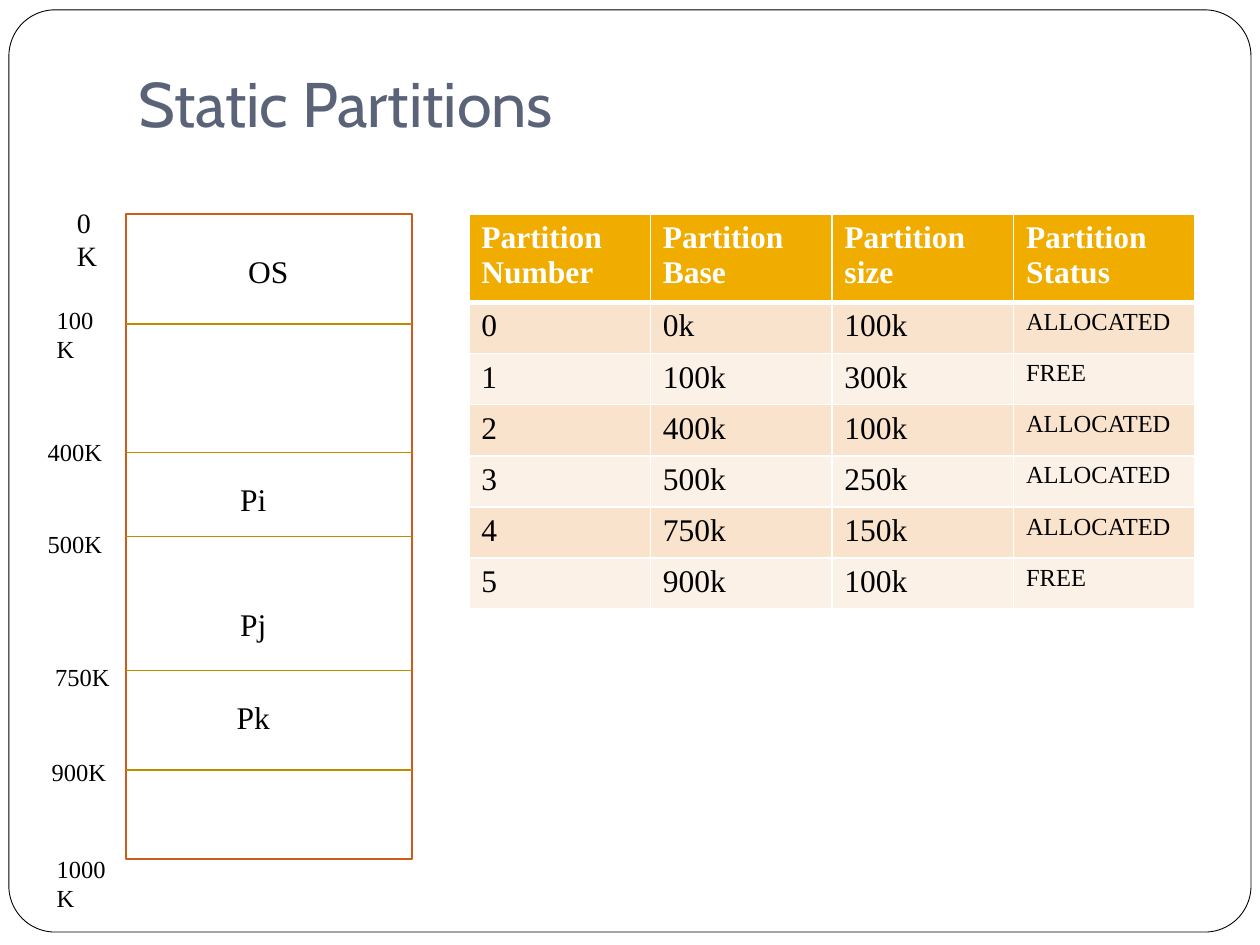
from dataclasses import dataclass

import pptx
import pptx.dml.color
import pptx.enum.shapes
import pptx.enum.text
import pptx.oxml.ns
import pptx.util
from lxml import etree

Cm = pptx.util.Cm
Pt = pptx.util.Pt
Shapes = pptx.enum.shapes.MSO_SHAPE
Align = pptx.enum.text.PP_ALIGN
Anchor = pptx.enum.text.MSO_ANCHOR
AutoSize = pptx.enum.text.MSO_AUTO_SIZE


@dataclass(frozen=True)
class Theme:
    title_font: str = "Cabin"
    body_font: str = "Times New Roman"
    title_size: int = 36
    body_size: int = 18
    origin_size: int = 16
    small_size: int = 14
    black: str = "000000"
    white: str = "FFFFFF"
    title: str = "5A6378"
    header: str = "F0AD00"
    bands: tuple = ("F9E3CC", "FCF1E7")
    memory_line: str = "CF5B1B"
    boundary_line: str = "C08B00"


THEME = Theme()

MEMORY_LEFT, MEMORY_TOP, MEMORY_WIDTH, MEMORY_HEIGHT = 2.54, 4.32, 5.77, 13.0
BOUNDARIES = (6.53, 9.12, 10.82, 13.51, 15.52)

# text, left, top, width
ADDRESSES = (
    ("100K", 0.89, 6.02, 1.57),
    ("400K", 0.71, 8.69, 1.75),
    ("500K", 0.71, 10.54, 1.75),
    ("750K", 0.86, 13.23, 1.75),
    ("900K", 0.79, 15.14, 1.75),
    ("1000K", 0.89, 17.09, 1.75),
)
# text, top, width
OCCUPANTS = (
    ("OS", 4.95, 3.4),
    ("Pi", 9.55, 2.79),
    ("Pj", 12.07, 2.79),
    ("Pk", 13.94, 2.79),
)
PARTITIONS = (
    ("Partition Number", "Partition Base", "Partition size", "Partition Status"),
    ("0", "0k", "100k", "ALLOCATED"),
    ("1", "100k", "300k", "FREE"),
    ("2", "400k", "100k", "ALLOCATED"),
    ("3", "500k", "250k", "ALLOCATED"),
    ("4", "750k", "150k", "ALLOCATED"),
    ("5", "900k", "100k", "FREE"),
)


def rgb(value):
    return pptx.dml.color.RGBColor.from_string(value)


def format_text(text_frame, size, color=THEME.black, font=THEME.body_font, bold=False):
    for paragraph in text_frame.paragraphs:
        for run in paragraph.runs:
            run.font.name = font
            run.font.size = Pt(size)
            run.font.bold = bold
            run.font.color.rgb = rgb(color)


def add_outlined_shape(slide, kind, left, top, width, height, line, weight):
    shape = slide.shapes.add_shape(kind, Cm(left), Cm(top), Cm(width), Cm(height))
    shape.shadow.inherit = False
    shape.fill.solid()
    shape.fill.fore_color.rgb = rgb(THEME.white)
    shape.line.color.rgb = rgb(line)
    shape.line.width = Pt(weight)
    return shape


def add_title(slide, text):
    box = slide.shapes.add_textbox(Cm(2.54), Cm(0.76), Cm(21.59), Cm(2.31))
    text_frame = box.text_frame
    text_frame.word_wrap = True
    text_frame.vertical_anchor = Anchor.BOTTOM
    text_frame.margin_bottom = Cm(0.25)
    text_frame.text = text
    format_text(text_frame, THEME.title_size, THEME.title, THEME.title_font)


def add_label(slide, text, left, top, width, height, size, align=Align.LEFT):
    box = slide.shapes.add_textbox(Cm(left), Cm(top), Cm(width), Cm(height))
    text_frame = box.text_frame
    text_frame.word_wrap = True
    text_frame.auto_size = AutoSize.SHAPE_TO_FIT_TEXT
    text_frame.text = text
    text_frame.paragraphs[0].alignment = align
    format_text(text_frame, size)


def add_boundary(slide, memory, top):
    """Draw a line across the memory block, joined to it at mid-height."""
    line = slide.shapes.add_connector(
        pptx.enum.shapes.MSO_CONNECTOR.STRAIGHT,
        Cm(MEMORY_LEFT), Cm(top), Cm(MEMORY_LEFT + MEMORY_WIDTH), Cm(top))
    line.line.color.rgb = rgb(THEME.boundary_line)
    line.line.width = Pt(0.75)
    etree.SubElement(line._element.spPr, pptx.oxml.ns.qn("a:effectLst"))
    if abs(top - MEMORY_TOP - MEMORY_HEIGHT / 2) < 0.01:
        line.begin_connect(memory, 1)
        line.end_connect(memory, 3)


def add_memory_map(slide):
    memory = add_outlined_shape(
        slide, Shapes.RECTANGLE, MEMORY_LEFT, MEMORY_TOP, MEMORY_WIDTH,
        MEMORY_HEIGHT, THEME.memory_line, 1)
    for top in BOUNDARIES:
        add_boundary(slide, memory, top)
    add_label(slide, "0K", 1.3, 4.01, 1.17, 0.94, THEME.origin_size)
    for text, left, top, width in ADDRESSES:
        add_label(slide, text, left, top, width, 0.86, THEME.small_size)
    for text, top, width in OCCUPANTS:
        add_label(slide, text, 3.71, top, width, 1.02, THEME.body_size, Align.CENTER)


def set_borders(cell, **weights):
    """Give the cell white borders, with weights in points by side: L, R, T, B."""
    qn = pptx.oxml.ns.qn
    properties = cell._tc.get_or_add_tcPr()
    for side, weight in weights.items():
        border = etree.SubElement(properties, qn(f"a:ln{side}"), w=str(Pt(weight)))
        fill = etree.SubElement(border, qn("a:solidFill"))
        etree.SubElement(fill, qn("a:srgbClr"), val=THEME.white)


def add_partition_table(slide):
    row_count, column_count = len(PARTITIONS), len(PARTITIONS[0])
    column_width, header_height, row_height = 3.66, 1.65, 1.03
    table = slide.shapes.add_table(
        row_count, column_count, Cm(9.45), Cm(MEMORY_TOP),
        Cm(column_width * column_count),
        Cm(header_height + row_height * (row_count - 1))).table
    table.horz_banding = False
    for column in table.columns:
        column.width = Cm(column_width)
    for row_index, values in enumerate(PARTITIONS):
        is_header = row_index == 0
        table.rows[row_index].height = Cm(header_height if is_header else row_height)
        for column_index, value in enumerate(values):
            cell = table.cell(row_index, column_index)
            set_borders(cell, L=1, R=1, T=3 if row_index == 1 else 1,
                        B=3 if is_header else 1)
            cell.fill.solid()
            cell.fill.fore_color.rgb = rgb(
                THEME.header if is_header else THEME.bands[(row_index - 1) % 2])
            cell.text_frame.text = value
            is_status = not is_header and column_index == column_count - 1
            format_text(cell.text_frame,
                        THEME.small_size if is_status else THEME.body_size,
                        THEME.white if is_header else THEME.black, bold=is_header)


def main():
    presentation = pptx.Presentation()
    presentation.slide_width = Cm(25.4)
    presentation.slide_height = Cm(19.05)
    slide = presentation.slides.add_slide(presentation.slide_layouts[6])
    frame = add_outlined_shape(slide, Shapes.ROUNDED_RECTANGLE, 0.18, 0.2,
                               25.04, 18.59, THEME.black, 0.5)
    frame.adjustments[0] = 0.05
    add_title(slide, "Static Partitions")
    add_partition_table(slide)
    add_memory_map(slide)
    presentation.save("out.pptx")


if __name__ == "__main__":
    main()
